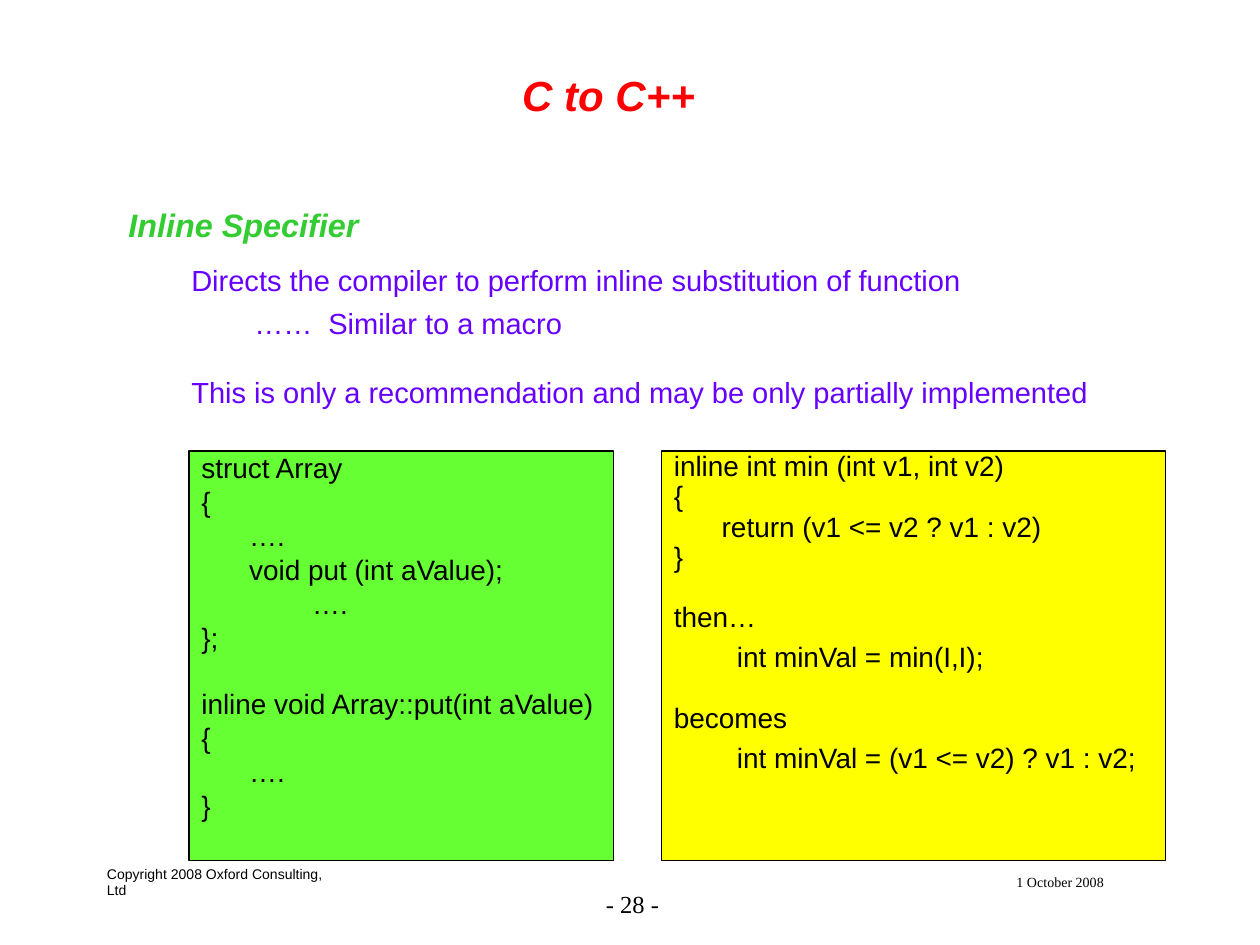
from dataclasses import dataclass

from lxml import etree
from pptx import Presentation
from pptx.dml.color import RGBColor
from pptx.enum.shapes import MSO_SHAPE
from pptx.enum.text import MSO_ANCHOR, PP_ALIGN
from pptx.oxml.ns import qn
from pptx.util import Inches, Pt

RECTANGLE = MSO_SHAPE.RECTANGLE
TOP, MIDDLE, BOTTOM = MSO_ANCHOR.TOP, MSO_ANCHOR.MIDDLE, MSO_ANCHOR.BOTTOM
LEFT, CENTER, RIGHT = PP_ALIGN.LEFT, PP_ALIGN.CENTER, PP_ALIGN.RIGHT

COLORS = {
    "black": "000000",
    "title": "FF0000",
    "heading": "33CC33",
    "body": "6600FF",
    "declaration": "66FF33",
    "expansion": "FFFF00",
}
LEVEL_INDENTS = [(0.38, -0.38), (0.81, -0.31), (1.25, -0.25)]
TAB_STOPS = range(8)
CODE_SIZE = 16
CODE_GAP = 4


@dataclass
class Line:
    text: str
    size: float
    color: str = "black"
    font: str = "Arial"
    emphasis: bool = False
    level: int | None = None
    alignment: PP_ALIGN = LEFT
    before: float = 0
    after: float = 0
    spacing: float = 1.0


@dataclass
class Box:
    left: float
    top: float
    width: float
    height: float
    lines: list[Line]
    anchor: MSO_ANCHOR = TOP
    wrap: bool = True
    fill: str | None = None


def rgb(name: str) -> RGBColor:
    return RGBColor.from_string(COLORS[name])


def add_tab_stops(paragraph) -> None:
    tab_list = etree.SubElement(paragraph._p.get_or_add_pPr(), qn("a:tabLst"))
    for stop in TAB_STOPS:
        etree.SubElement(tab_list, qn("a:tab"), pos=str(Inches(stop)), algn="l")


def write_line(paragraph, line: Line) -> None:
    paragraph.text = line.text
    if line.level is not None:
        add_tab_stops(paragraph)
        margin, indent = LEVEL_INDENTS[line.level]
        properties = paragraph._p.get_or_add_pPr()
        properties.set("marL", str(Inches(margin)))
        properties.set("indent", str(Inches(indent)))
        paragraph.level = line.level
    paragraph.alignment = line.alignment
    paragraph.line_spacing = line.spacing
    paragraph.space_before = Pt(line.before)
    paragraph.space_after = Pt(line.after)
    for run in paragraph.runs:
        run.font.name = line.font
        run.font.size = Pt(line.size)
        run.font.bold = run.font.italic = line.emphasis
        run.font.color.rgb = rgb(line.color)


def add_box(slide, box: Box) -> None:
    frame = [Inches(n) for n in (box.left, box.top, box.width, box.height)]
    if box.fill:
        shape = slide.shapes.add_shape(RECTANGLE, *frame)
        shape.shadow.inherit = False
        shape.fill.solid()
        shape.fill.fore_color.rgb = rgb(box.fill)
        shape.line.color.rgb = rgb("black")
        shape.line.width = Pt(0.75)
    else:
        shape = slide.shapes.add_textbox(*frame)
    text_frame = shape.text_frame
    text_frame.word_wrap = box.wrap
    text_frame.vertical_anchor = box.anchor
    for index, line in enumerate(box.lines):
        paragraph = text_frame.add_paragraph() if index else text_frame.paragraphs[0]
        write_line(paragraph, line)


def code_lines(blocks: list[list[str]], spacing: float, indented: tuple[str, ...] = ()) -> list[Line]:
    block_gap = 2 * CODE_GAP + CODE_SIZE * 1.15 * spacing
    lines = []
    for block in blocks:
        for index, text in enumerate(block):
            before = CODE_GAP if index else block_gap
            nested = text in indented
            lines.append(Line(text, CODE_SIZE, level=int(nested), before=before if lines else 0,
                              spacing=1.0 if nested else spacing))
    return lines


def footer(left: float, top: float, width: float, line: Line) -> Box:
    return Box(left, top, width, 0.5, [line], MIDDLE, wrap=False)


def main() -> None:
    presentation = Presentation()
    presentation.slide_width, presentation.slide_height = Inches(10), Inches(7.5)
    slide = presentation.slides.add_slide(presentation.slide_layouts[6])

    declaration = code_lines([
        ["struct Array", "{", "\t….", "\tvoid put (int aValue);", "\t\t….", "};"],
        ["inline void Array::put(int aValue)", "{", "\t….", "}"],
    ], 0.8)
    call, expanded_call = "int minVal = min(I,I);", "int minVal = (v1 <= v2) ? v1 : v2;"
    expansion = code_lines([
        ["inline int min (int v1, int v2)", "{", "\treturn (v1 <= v2 ? v1 : v2)", "}"],
        ["then…", call],
        ["becomes", expanded_call],
    ], 0.7, (call, expanded_call))
    body = [
        Line("Inline Specifier", 18.5, "heading", emphasis=True, level=0, after=6),
        Line("Directs the compiler to perform inline substitution of function",
             16.6, "body", level=1, before=4.5),
        Line("……  Similar to a macro", 16.6, "body", level=2, before=4.5),
        Line("This is only a recommendation and may be only partially implemented",
             16.6, "body", level=1, before=28, spacing=0.5),
    ]
    boxes = [
        footer(0.75, 6.75, 2.08, Line("Copyright 2008 Oxford Consulting, Ltd", 8)),
        footer(6.83, 6.75, 3.17, Line("1 October 2008", 8, font="Times New Roman", alignment=CENTER)),
        footer(4.58, 6.92, 0.75, Line("- 28 -", 14, font="Times New Roman", alignment=RIGHT)),
        Box(0.58, 0.33, 8.5, 0.67,
            [Line("C to C++", 24, "title", emphasis=True, alignment=CENTER)], BOTTOM),
        Box(0.92, 1.58, 8.45, 1.74, body),
        Box(1.5, 3.58, 3.37, 3.25, declaration, fill="declaration"),
        Box(5.25, 3.58, 4, 3.25, expansion, fill="expansion"),
    ]
    for box in boxes:
        add_box(slide, box)
    presentation.save("out.pptx")


if __name__ == "__main__":
    main()
